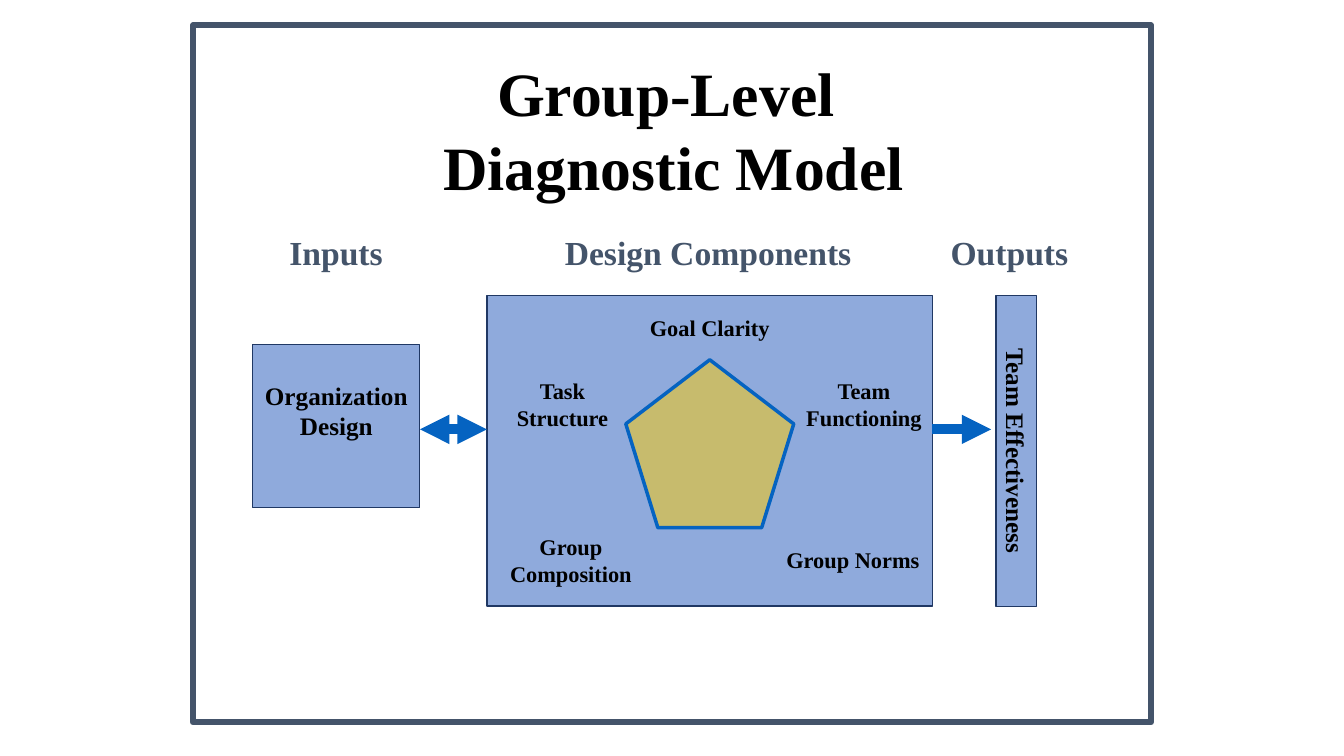
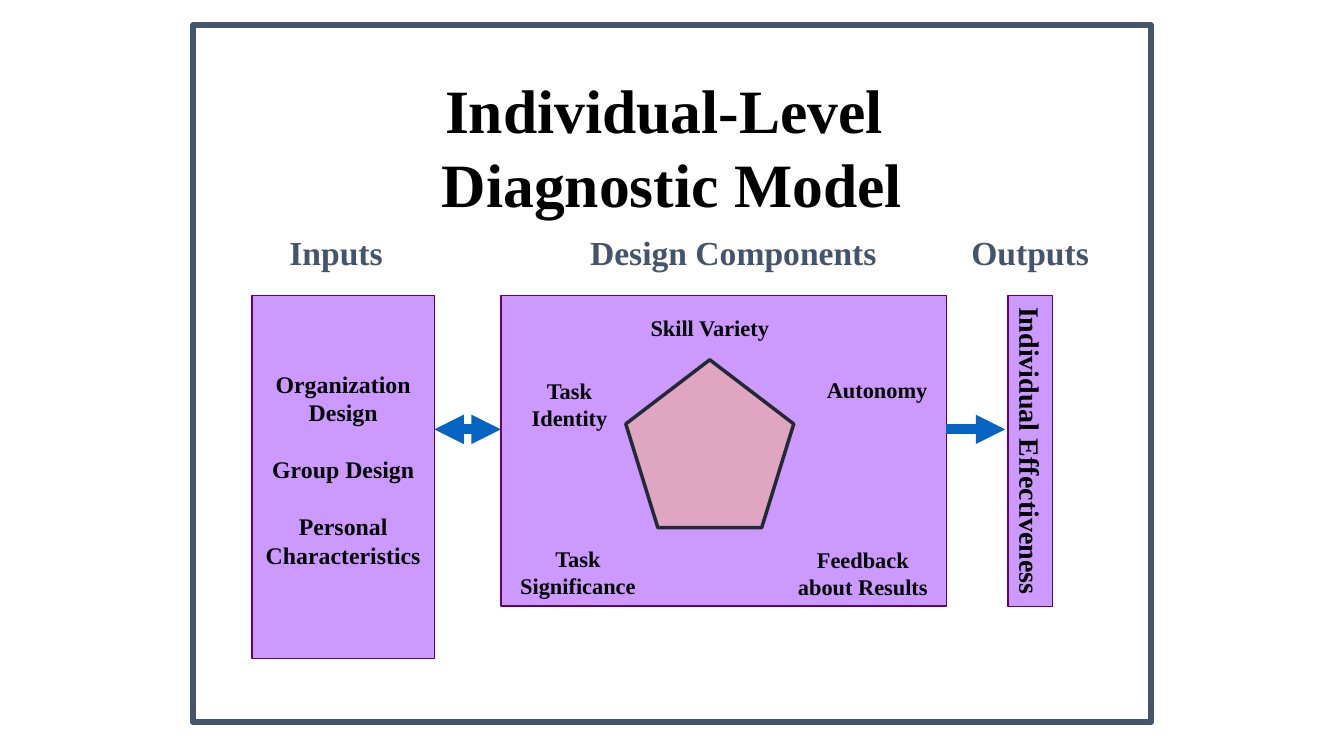
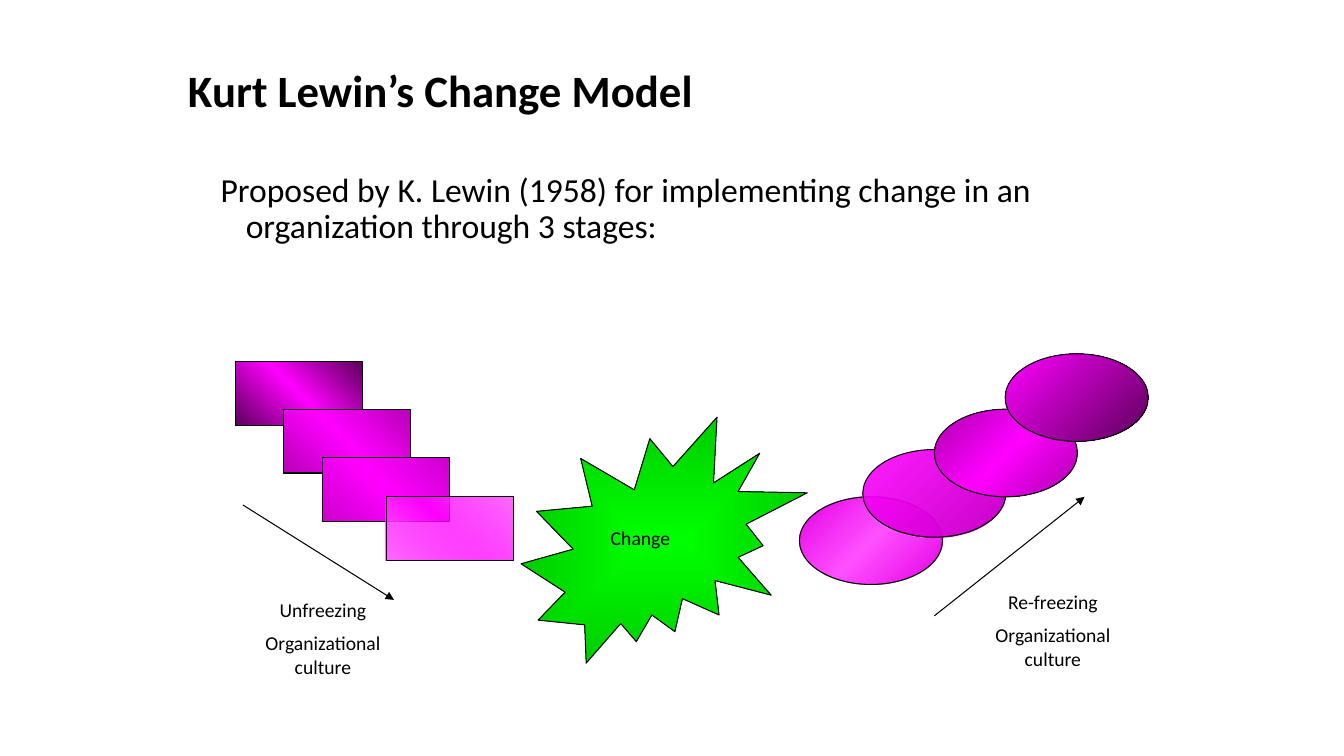
from dataclasses import dataclass

from lxml.etree import SubElement as Sub
from pptx import Presentation
from pptx.dml.color import RGBColor as Rgb
from pptx.enum.shapes import MSO_CONNECTOR as Link, MSO_SHAPE as Form
from pptx.enum.text import MSO_ANCHOR as Anchor, PP_ALIGN as Align
from pptx.oxml.ns import qn
from pptx.util import Pt


@dataclass(frozen=True)
class Theme:
    """Colours, fonts and type sizes shared by the slides."""
    ink: str = "000000"
    slate: str = "44546A"
    arrow: str = "0563C1"
    pink: str = "FF00FF"
    serif: str = "Times New Roman"
    sans: str = "Calibri"
    title: int = 44
    head: int = 24
    label: int = 16
    lead: int = 32
    note: int = 14


T = Theme()


def put(item, vals):
    """Set each attribute of item from a dict."""
    for key, val in vals.items():
        setattr(item, key, val)


def pts(*nums):
    """Turn numbers into point lengths."""
    return [Pt(num) for num in nums]


def write(frame, lines, size, color=T.ink, font=T.serif, bold=True,
          align=Align.CENTER, gaps=(), space=None, **opts):
    """Fill a text frame with paragraphs in one format."""
    put(frame, {"word_wrap": True, "vertical_anchor": Anchor.TOP, **opts})
    for num, line in enumerate(lines):
        para = frame.add_paragraph() if num else frame.paragraphs[0]
        gap = gaps[num] if num < len(gaps) else 0
        put(para, {"alignment": align, "space_before": Pt(gap), "line_spacing": space})
        run = para.add_run()
        run.text = line
        put(run.font, {"size": Pt(size), "name": font, "bold": bold})
        run.font.color.rgb = Rgb.from_string(color)


def text(slide, box, lines, size, **opts):
    """Add a text box and return its frame."""
    frame = slide.shapes.add_textbox(*pts(*box)).text_frame
    write(frame, lines, size, **opts)
    return frame


def tint(node, color, alpha=100):
    """Add a colour with its opacity under a fill node."""
    tone = Sub(node, qn("a:srgbClr"), val=color)
    if alpha < 100:
        Sub(tone, qn("a:alpha"), val=str(alpha * 1000))


def shade(shape, stops, angle=None):
    """Give a shape a linear gradient, or a centred one without an angle."""
    shape.fill.background()
    props = shape.element.spPr
    grad = props.makeelement(qn("a:gradFill"), {"rotWithShape": "1"})
    band = Sub(grad, qn("a:gsLst"))
    for pos, *tone in stops:
        tint(Sub(band, qn("a:gs"), pos=str(pos * 1000)), *tone)
    if angle is None:
        core = Sub(grad, qn("a:path"), path="shape")
        Sub(core, qn("a:fillToRect"), dict.fromkeys("ltrb", "50000"))
    else:
        Sub(grad, qn("a:lin"), ang=str(angle * 60000), scaled="1")
    props.replace(props.find(qn("a:noFill")), grad)


def block(slide, form, box, line, width, fill=None, alpha=100):
    """Add an outlined shape, filled if a colour is given."""
    shape = slide.shapes.add_shape(form, *pts(*box))
    shape.shadow.inherit = False
    shape.fill.background()
    if fill:
        shape.fill.solid()
        shape.fill.fore_color.rgb = Rgb.from_string(fill)
        if alpha < 100:
            tone = shape.element.spPr.find(qn("a:solidFill"))[0]
            Sub(tone, qn("a:alpha"), val=str(alpha * 1000))
    shape.line.color.rgb = Rgb.from_string(line)
    shape.line.width = Pt(width)
    return shape


def arrow(slide, ends, color, width, tips=("tailEnd",)):
    """Add a straight arrow with triangle tips."""
    wire = slide.shapes.add_connector(Link.STRAIGHT, *pts(*ends))
    wire.line.color.rgb = Rgb.from_string(color)
    wire.line.width = Pt(width)
    props = wire.element.spPr
    for tip in tips:
        Sub(props.find(qn("a:ln")), qn("a:" + tip), type="triangle")
    Sub(props, qn("a:effectLst"))


def heads(slide, mids):
    """Place the three column heads, centred on their mid points."""
    for mid, name in zip(mids, ("Inputs", "Design Components", "Outputs")):
        text(slide, (mid - 110, 162, 220, 36), [name], T.head,
             color=T.slate, word_wrap=False)


def core(slide, box, fill, edge, gem, rim, parts):
    """Draw the components box with its pentagon and labels."""
    left, top, wide, high = box
    block(slide, Form.RECTANGLE, box, edge, 1, fill)
    block(slide, Form.REGULAR_PENTAGON, (447, top + 46, 120, 120), rim, 2.5, gem, 50)
    for name, x, y, span in parts:
        text(slide, (left + x, top + y, span, 46), [name], T.label)


def output(slide, mid, box, fill, edge, name, size, thick):
    """Draw the upright output bar beside the components box."""
    left, top, wide, high = box
    spot = (mid - high / 2, top + (high - thick) / 2, high, thick)
    bar = block(slide, Form.RECTANGLE, spot, edge, 0.75, fill)
    bar.rotation = 90
    write(bar.text_frame, [name], size, word_wrap=False)


def model(slide, title, spot, mids, box, fill, edge, gem, rim, parts, source, out):
    """Build one diagnostic model slide."""
    block(slide, Form.RECTANGLE, (138, 18, 684, 498), T.slate, 4.5)
    text(slide, spot, title, T.title)
    heads(slide, mids)
    core(slide, box, fill, edge, gem, rim, parts)
    area, lines, size, inset, gaps = source
    feed = block(slide, Form.RECTANGLE, area, edge, 0.75, fill)
    write(feed.text_frame, lines, size, gaps=gaps, margin_top=Pt(inset))
    output(slide, out[0], box, fill, edge, *out[1:])
    left, right, y = box[0], box[0] + box[2], 306.7
    arrow(slide, (area[0] + area[2], y, left, y), T.arrow, 7, ("headEnd", "tailEnd"))
    arrow(slide, (right, y, right + 42, y), T.arrow, 7)


def stage(slide, box, form, size, angle, steps, ends, note, lines):
    """Draw a run of shaded shapes with an arrow and a caption."""
    left, top = box
    for x, y, stops in steps:
        shape = block(slide, form, (left + x, top + y, *size), T.ink, 0.75)
        shade(shape, stops, angle)
    x, y, far, low = ends
    arrow(slide, (left + x, top + y, left + far, top + low), T.ink, 0.75)
    x, y, wide = note
    text(slide, (left + x, top + y, wide, 67), lines, T.note,
         font=T.sans, bold=False, gaps=(0, 7))


def burst(slide, box):
    """Draw the change burst and its label."""
    left, top, wide, high = box
    star = block(slide, Form.EXPLOSION2, box, T.ink, 0.75)
    shade(star, [(0, "00FF00"), (100, "00CD00")])
    text(slide, (left + 57, top + 74.2, 91, 24), ["Change"], T.note,
         font=T.sans, bold=False, align=Align.LEFT)


def mirror(tone, alpha=100):
    """Give stops that run from a tone to pink and back."""
    return [(0, tone), (50, T.pink, alpha), (100, tone)]


def lewin(slide):
    """Build the change model slide."""
    plain = {"font": T.sans, "align": Align.LEFT, "space": 0.9}
    text(slide, (120, 21.6, 648, 90), [" Kurt Lewin’s Change Model"], T.lead,
         vertical_anchor=Anchor.MIDDLE, **plain)
    body = text(slide, (150.5, 120.2, 648, 356), [
        "Proposed by K. Lewin (1958) for implementing change in an "
        "organization through 3 stages:"], T.head, bold=False, **plain)
    props = body.paragraphs[0]._p.get_or_add_pPr()
    for key, val in {"marL": Pt(18), "indent": Pt(-18)}.items():
        props.set(key, str(int(val)))
    stage(slide, (168.4, 258.5), Form.RECTANGLE, (90.7, 45.4), 315, [
        (0, 0, mirror("5B005B")),
        (34, 34, mirror("B800B8")),
        (62, 68.3, mirror("CD00CD")),
        (107.4, 96.5, mirror("FF6DFF", 75)),
    ], (5.1, 102.2, 113, 170), (-5.7, 165, 136), ["Unfreezing", "Organizational culture"])
    burst(slide, (372.2, 298, 204.5, 175.7))
    stage(slide, (571, 252.7), Form.OVAL, (102.2, 62.6), 45, [
        (0, 102.2, mirror("E200E2", 68)),
        (45.3, 68.4, [(0, T.pink, 89), (100, "C800C8")]),
        (96.4, 39.6, mirror("AD00AD")),
        (147, 0, [(0, T.pink), (100, "5B005B")]),
    ], (96.4, 187.2, 203.7, 102.2), (118.8, 165, 124.6),
        ["Re-freezing", "Organizational culture"])


def main():
    """Build and save the deck."""
    deck = Presentation()
    put(deck, {"slide_width": Pt(960), "slide_height": Pt(540)})
    group, person, change = [deck.slides.add_slide(deck.slide_layouts[6]) for _ in range(3)]
    model(group, ["Group-Level ", "Diagnostic Model"], (152.6, 36, 657.4, 114),
          (240, 505.8, 721), (347.8, 211, 318.2, 222),
          "8FAADC", "203864", "FFCC00", T.arrow, [
              ("Goal Clarity", 99.2, 10, 120),
              ("Task Structure", 0, 54.7, 108),
              ("Group Composition", 0, 166.3, 120),
              ("Team Functioning", 219.6, 54.7, 99.4),
              ("Group Norms", 204.5, 175.6, 113.8)],
          ((180.5, 246.2, 119.5, 116.6), ["Organization", "Design"], 18, 25.2, ()),
          (725.8, "Team Effectiveness", 18, 28.8))
    model(person, ["Individual-Level ", "Diagnostic Model"], (180, 48.2, 600, 114),
          (240, 523.8, 735.8), (357.8, 211, 318.2, 222),
          "CC99FF", "660066", "F4B183", "222A35", [
              ("Skill Variety", 89.2, 10, 120),
              ("Task Identity", 0, 54.7, 98),
              ("Task Significance", 0, 175, 110),
              ("Autonomy", 219, 54, 99.4),
              ("Feedback about Results", 201.6, 175.6, 113.8)],
          ((180, 211, 130.3, 259.2),
           ["Organization", "Design", "Group Design", "Personal Characteristics"],
           17, 52.8, (0, 0, 20.4, 20.4)),
          (735.8, "Individual Effectiveness", 20, 31.7))
    lewin(change)
    deck.save("out.pptx")


if __name__ == "__main__":
    main()
